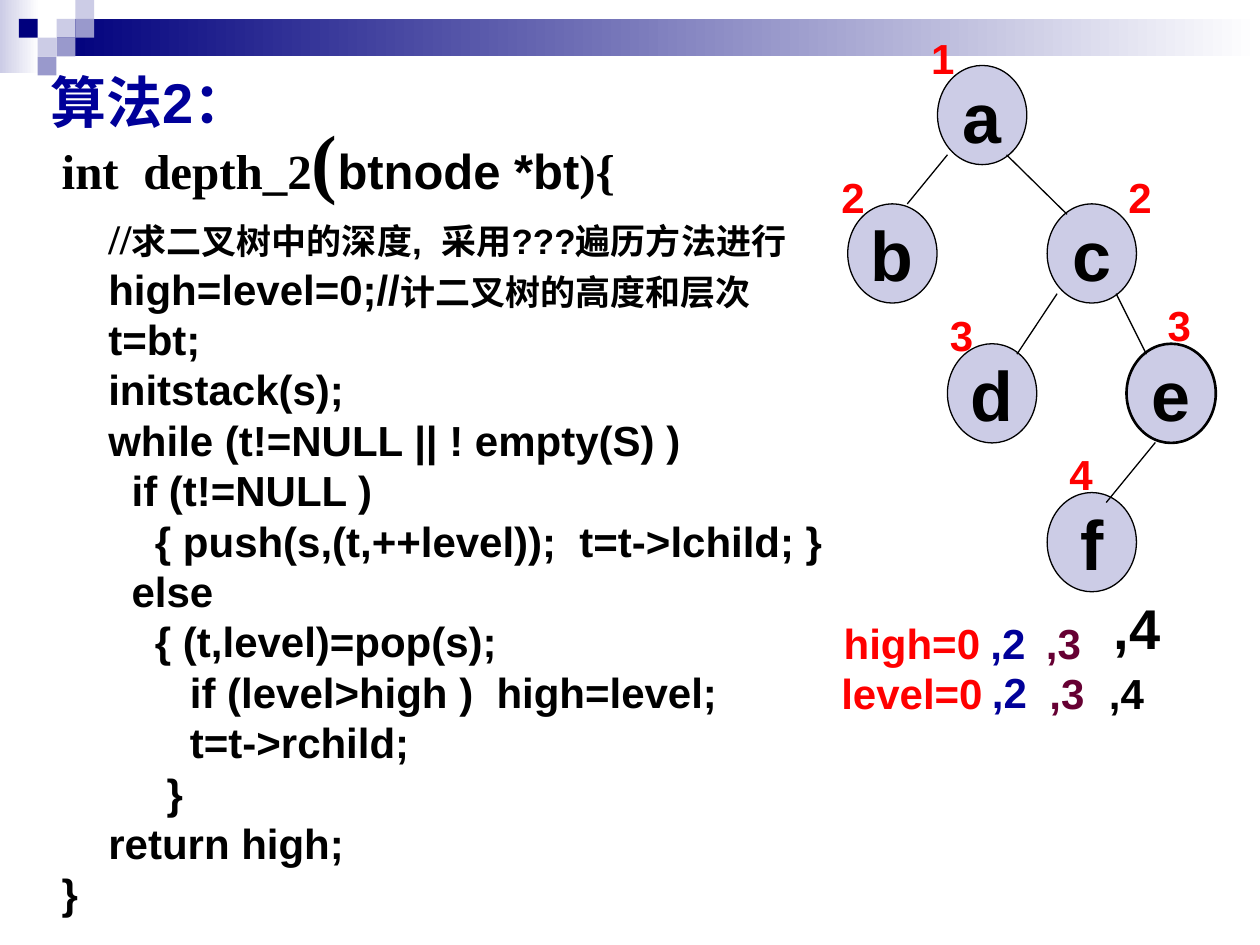
"""Build a slide showing a stack-based binary tree depth algorithm."""
from dataclasses import dataclass

import pptx
import pptx.dml.color
import pptx.enum.shapes
import pptx.enum.text
import pptx.oxml
import pptx.oxml.ns
import pptx.util
from pptx.util import Cm

RGBColor = pptx.dml.color.RGBColor
SHAPE = pptx.enum.shapes.MSO_SHAPE
ALIGN = pptx.enum.text.PP_ALIGN
ANCHOR = pptx.enum.text.MSO_ANCHOR

BLACK = RGBColor(0x00, 0x00, 0x00)
WHITE = RGBColor(0xFF, 0xFF, 0xFF)
RED = RGBColor(0xFF, 0x00, 0x00)
BLUE = RGBColor(0x00, 0x00, 0x99)
PLUM = RGBColor(0x66, 0x00, 0x33)
NAVY = RGBColor(0x00, 0x00, 0x7D)
LAVENDER = RGBColor(0xCC, 0xCC, 0xE6)
PERIWINKLE = RGBColor(0x99, 0x99, 0xCC)

SERIF = "Times New Roman"
SANS = "Arial"
LINE_FACTOR = 1.2
INDENT_CM = 0.235
TILE_CM = 0.38
NODE_WIDTH, NODE_HEIGHT = 1.8, 2.0


@dataclass(frozen=True)
class Span:
    text: str
    size: int = 24
    font: str = SANS
    color: RGBColor = BLACK


@dataclass(frozen=True)
class CodeLine:
    indent: int
    spans: tuple[Span, ...]
    tallest: int = 24


@dataclass(frozen=True)
class Node:
    letter: str
    left: float
    top: float
    outline: float = 0.75


@dataclass(frozen=True)
class Edge:
    x1: float
    y1: float
    x2: float
    y2: float


@dataclass(frozen=True)
class Label:
    lines: tuple[str, ...]
    left: float
    top: float
    width: float = 0.97
    color: RGBColor = RED
    size: int = 24
    align: ALIGN = ALIGN.LEFT


@dataclass(frozen=True)
class Tile:
    column: int
    row: int
    color: RGBColor


HEADING = CodeLine(0, (Span("算法2：", 32, SANS, BLUE),), 32)

CODE = [
    CodeLine(0, (Span("int  depth_2", 28, SERIF), Span("(", 44, SERIF),
                 Span("btnode *bt", 28), Span("){", 28, SERIF)), 44),
    CodeLine(4, (Span("//", 24, SERIF),
                 Span("求二叉树中的深度,  采用???遍历方法进行", 20)), 28),
    CodeLine(4, (Span("high=level=0;//"), Span("计二叉树的高度和层次", 20))),
] + [CodeLine(indent, (Span(text),)) for indent, text in (
    (4, "t=bt;"),
    (4, "initstack(s);"),
    (4, "while (t!=NULL || ! empty(S) )"),
    (6, "if (t!=NULL )"),
    (8, "{ push(s,(t,++level));  t=t->lchild; }"),
    (6, "else"),
    (8, "{ (t,level)=pop(s);"),
    (11, "if (level>high )  high=level;"),
    (11, "t=t->rchild;"),
    (9, "}"),
    (4, "return high;"),
    (0, "}"),
)]

NODES = [Node("a", 18.9, 1.32), Node("b", 17.09, 4.11), Node("c", 21.11, 4.11),
         Node("d", 19.1, 6.93), Node("f", 21.11, 9.93), Node("e", 22.71, 6.93, 1.5)]

EDGES = [Edge(19.1, 3.12, 18.29, 4.11), Edge(20.29, 3.12, 21.51, 4.32),
         Edge(22.5, 5.92, 23.11, 7.14), Edge(21.31, 5.92, 20.5, 7.14),
         Edge(23.29, 8.92, 22.3, 10.13)]

LEVELS = [Label(("2",), 16.71, 3.33), Label(("3",), 23.29, 5.92),
          Label(("2",), 22.5, 3.33), Label(("3",), 18.9, 6.12),
          Label(("4",), 21.31, 8.92), Label(("1",), 18.52, 0.53)]

COUNTERS = [
    Label(("high=0", "level=0"), 16.71, 12.32, 3.35, RED, 24, ALIGN.CENTER),
    Label((",2",), 19.74, 13.31, 1.22, BLUE, 24, ALIGN.CENTER),
    Label((",2",), 19.71, 12.32, 1.22, BLUE, 24, ALIGN.CENTER),
    Label((",3",), 20.9, 13.34, 1.22, PLUM, 24, ALIGN.CENTER),
    Label((",3",), 20.83, 12.32, 1.22, PLUM, 24, ALIGN.CENTER),
    Label((",4",), 22.1, 13.34, 1.22, BLACK, 24, ALIGN.CENTER),
    Label((",4",), 22.2, 11.84, 1.45, BLACK, 32, ALIGN.CENTER),
]

TILES = [Tile(3, 1, LAVENDER), Tile(4, 0, LAVENDER), Tile(4, 1, PERIWINKLE),
         Tile(2, 2, LAVENDER), Tile(1, 1, NAVY), Tile(3, 2, PERIWINKLE),
         Tile(2, 3, PERIWINKLE)]


def place(shape, left: float, top: float, width: float, height: float) -> None:
    """Set a shape's position and size in centimetres."""
    shape.left, shape.top = Cm(left), Cm(top)
    shape.width, shape.height = Cm(width), Cm(height)


def prepare_frame(frame, anchor: ANCHOR, wrap: bool) -> None:
    """Give a text frame fixed size, anchoring and wrapping."""
    frame.auto_size = pptx.enum.text.MSO_AUTO_SIZE.NONE
    frame.vertical_anchor = anchor
    frame.word_wrap = wrap


def write_lines(frame, lines: list[CodeLine], align: ALIGN) -> None:
    """Write unbulleted lines of bold text with fixed line heights."""
    for number, line in enumerate(lines):
        paragraph = frame.add_paragraph() if number else frame.paragraphs[0]
        paragraph.alignment = align
        paragraph.line_spacing = pptx.util.Pt(line.tallest * LINE_FACTOR)
        paragraph.space_before = pptx.util.Pt(0)
        properties = paragraph._p.get_or_add_pPr()
        properties.set("marL", str(Cm(line.indent * INDENT_CM)))
        properties.set("indent", "0")
        properties.append(pptx.oxml.parse_xml(
            f"<a:buNone {pptx.oxml.ns.nsdecls('a')}/>"))
        for span in line.spans:
            run = paragraph.add_run()
            run.text = span.text
            run.font.size = pptx.util.Pt(span.size)
            run.font.name = span.font
            run.font.bold = True
            run.font.color.rgb = span.color


def draw_block(slide, left: float, top: float, width: float, height: float,
               color: RGBColor, fades: bool = False) -> None:
    """Draw a plain rectangle or one fading to white on the right."""
    block = slide.shapes.add_shape(SHAPE.RECTANGLE, Cm(left), Cm(top), Cm(width), Cm(height))
    block.shadow.inherit = False
    block.line.fill.background()
    if fades:
        block.fill.gradient()
        block.fill.gradient_angle = 0
        for stop, shade in zip(block.fill.gradient_stops, (color, WHITE)):
            stop.color.rgb = shade
    else:
        block.fill.solid()
        block.fill.fore_color.rgb = color


def draw_node(slide, node: Node) -> None:
    """Draw a lettered tree node."""
    oval = slide.shapes.add_shape(SHAPE.OVAL, Cm(node.left), Cm(node.top),
                                  Cm(NODE_WIDTH), Cm(NODE_HEIGHT))
    oval.shadow.inherit = False
    oval.fill.solid()
    oval.fill.fore_color.rgb = LAVENDER
    oval.line.color.rgb = BLACK
    oval.line.width = pptx.util.Pt(node.outline)
    prepare_frame(oval.text_frame, ANCHOR.MIDDLE, False)
    write_lines(oval.text_frame, [CodeLine(0, (Span(node.letter, 40),), 40)], ALIGN.CENTER)


def draw_edge(slide, edge: Edge) -> None:
    """Draw a branch between two nodes."""
    branch = slide.shapes.add_connector(pptx.enum.shapes.MSO_CONNECTOR.STRAIGHT,
                                        Cm(edge.x1), Cm(edge.y1), Cm(edge.x2), Cm(edge.y2))
    branch.line.color.rgb = BLACK
    branch.line.width = pptx.util.Pt(0.75)
    branch._element.spPr.append(pptx.oxml.parse_xml(
        f"<a:effectLst {pptx.oxml.ns.nsdecls('a')}/>"))


def draw_label(slide, label: Label) -> None:
    """Draw a free-standing label."""
    height = len(label.lines) * label.size * LINE_FACTOR / 72 * 2.54 + 0.25
    box = slide.shapes.add_textbox(Cm(label.left), Cm(label.top), Cm(label.width), Cm(height))
    prepare_frame(box.text_frame, ANCHOR.TOP, False)
    write_lines(box.text_frame,
                [CodeLine(0, (Span(text, label.size, SANS, label.color),), label.size)
                 for text in label.lines], label.align)


def main() -> None:
    """Assemble and save the slide."""
    deck = pptx.Presentation()
    deck.slide_width, deck.slide_height = Cm(25.4), Cm(19.05)
    slide = deck.slides.add_slide(deck.slide_layouts[1])
    heading, code = slide.shapes.title, slide.placeholders[1]
    place(heading, 0.76, 1.24, 6.5, 1.63)
    prepare_frame(heading.text_frame, ANCHOR.TOP, True)
    write_lines(heading.text_frame, [HEADING], ALIGN.LEFT)
    place(code, 0.99, 2.13, 24.41, 16.51)
    prepare_frame(code.text_frame, ANCHOR.TOP, True)
    write_lines(code.text_frame, CODE, ALIGN.LEFT)

    draw_block(slide, 0, 0, 0.79, 1.47, LAVENDER, True)
    draw_block(slide, 1.14, TILE_CM, 24.26, 0.76, NAVY, True)
    for tile in TILES:
        draw_block(slide, tile.column * TILE_CM, tile.row * TILE_CM, TILE_CM, TILE_CM, tile.color)
    for node in NODES:
        draw_node(slide, node)
    for edge in EDGES:
        draw_edge(slide, edge)
    for label in LEVELS + COUNTERS:
        draw_label(slide, label)
    deck.save("out.pptx")


if __name__ == "__main__":
    main()
